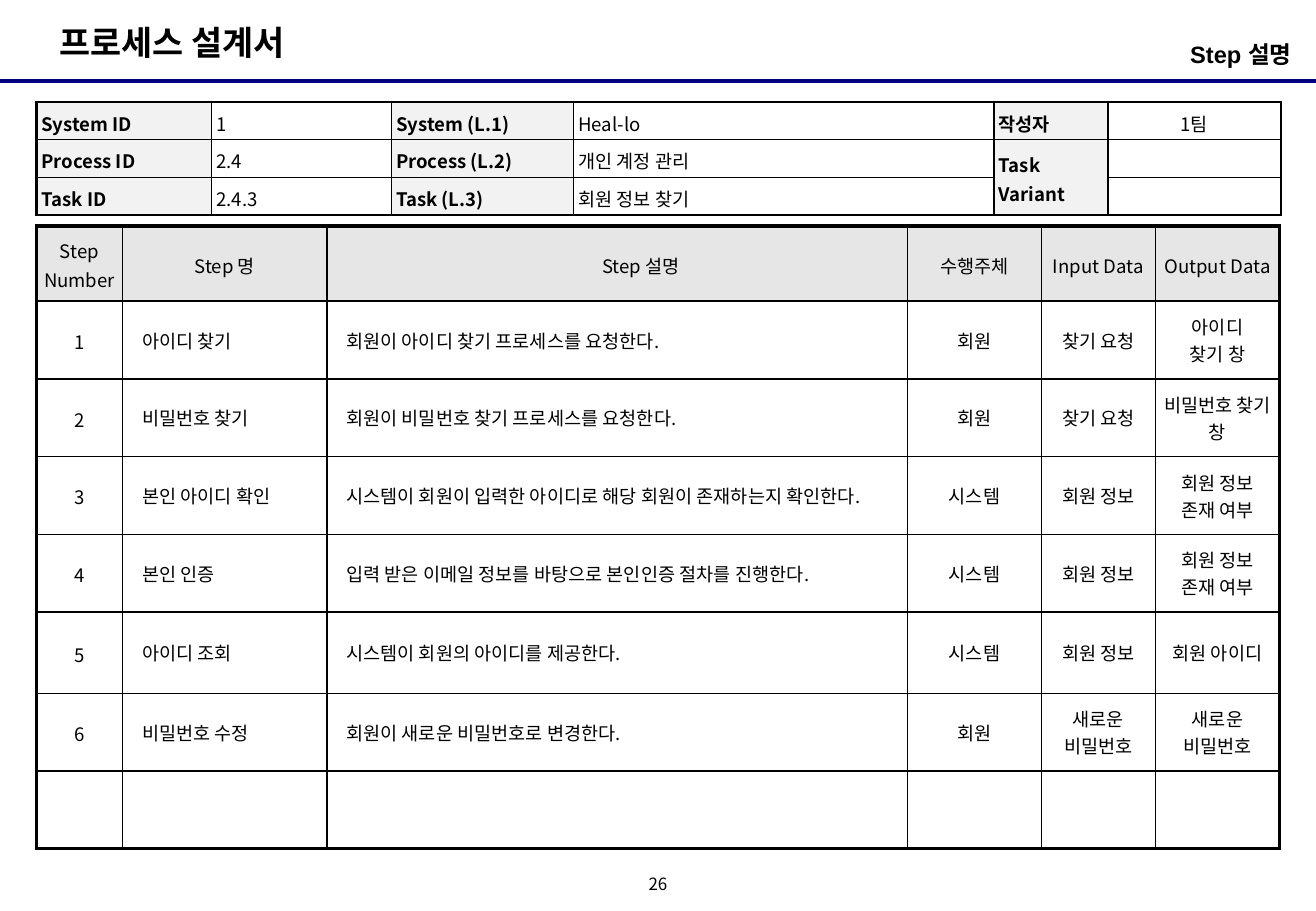
from lxml import etree
from pptx import Presentation
from pptx import util as u
from pptx.dml.color import RGBColor
from pptx.enum import shapes, text
from pptx.oxml.ns import qn

KOREAN = "Noto Sans CJK KR"
BLACK, WHITE, NAVY = "000000", "FFFFFF", "000080"
LABEL_FILL, HEAD_FILL = "F2F2F2", "E6E6E6"
CENTER, LEFT, RIGHT = text.PP_ALIGN.CENTER, text.PP_ALIGN.LEFT, text.PP_ALIGN.RIGHT
TOP, MIDDLE = text.MSO_ANCHOR.TOP, text.MSO_ANCHOR.MIDDLE

INFO_COLS = [1.44, 1.48, 1.5, 3.46, 0.94, 1.42]
INFO_ROWS = [0.31] * 3
INFO = [
    ["System ID", "1", "System (L.1)", "Heal-lo", "작성자", "1팀"],
    ["Process ID", "2.4", "Process (L.2)", "개인 계정 관리", "Task Variant", ""],
    ["Task ID", "2.4.3", "Task (L.3)", "회원 정보 찾기", "", ""],
]

STEP_COLS = [0.71, 1.68, 4.78, 1.1, 0.94, 1.02]
STEP_ROWS = [0.62, 0.64, 0.64, 0.64, 0.64, 0.67, 0.64, 0.64]
STEPS = [
    ["Step Number", "Step 명", "Step 설명", "수행주체", "Input Data", "Output Data"],
    ["1", "아이디 찾기", "회원이 아이디 찾기 프로세스를 요청한다.", "회원", "찾기 요청", "아이디\n찾기 창"],
    ["2", "비밀번호 찾기", "회원이 비밀번호 찾기 프로세스를 요청한다.", "회원", "찾기 요청", "비밀번호 찾기 창"],
    ["3", "본인 아이디 확인", "시스템이 회원이 입력한 아이디로 해당 회원이 존재하는지 확인한다.",
     "시스템", "회원 정보", "회원 정보 존재 여부"],
    ["4", "본인 인증", "입력 받은 이메일 정보를 바탕으로 본인인증 절차를 진행한다.",
     "시스템", "회원 정보", "회원 정보 존재 여부"],
    ["5", "아이디 조회", "시스템이 회원의 아이디를 제공한다.", "시스템", "회원 정보", "회원 아이디"],
    ["6", "비밀번호 수정", "회원이 새로운 비밀번호로 변경한다.", "회원",
     "새로운\n비밀번호", "새로운 비밀번호"],
    [""] * 6,
]


def color(value):
    return RGBColor.from_string(value)


def apply(obj, values):
    for name, value in values.items():
        setattr(obj, name, value)


def write(tf, content, size, bold=False, font=KOREAN, indent=0, **layout):
    tf.text = content
    for p in tf.paragraphs:
        if indent:
            p._p.get_or_add_pPr().set("marL", str(u.Inches(indent)))
        apply(p, layout)
        for r in p.runs:
            apply(r.font, {"name": font, "size": u.Pt(size), "bold": bold})
            r.font.color.rgb = color(BLACK)
            etree.SubElement(r.font._element, qn("a:ea"), typeface=KOREAN)
        if not p.runs:
            etree.SubElement(p._p, qn("a:endParaRPr"), sz=str(size * 100))


def add_text(s, box, content, size, margins, wrap, anchor=TOP, **style):
    tf = s.shapes.add_textbox(*map(u.Inches, box)).text_frame
    names = ("margin_left", "margin_top", "margin_right", "margin_bottom")
    apply(tf, dict(zip(names, map(u.Inches, margins))))
    apply(tf, {"word_wrap": wrap, "vertical_anchor": anchor})
    write(tf, content, size, **style)


def add_rule(s, y, width):
    line = s.shapes.add_connector(shapes.MSO_CONNECTOR.STRAIGHT, 0, u.Inches(y),
                                  u.Inches(width), u.Inches(y))
    line.line.color.rgb = color(NAVY)
    line.line.width = u.Pt(2.25)
    etree.SubElement(line._element.spPr, qn("a:effectLst"))


def set_borders(cell, widths):
    tc_pr = cell._tc.get_or_add_tcPr()
    for side, width in zip("LRTB", widths):
        ln = etree.SubElement(tc_pr, qn("a:ln" + side), w=str(u.Pt(width)))
        fill = etree.SubElement(ln, qn("a:solidFill"))
        etree.SubElement(fill, qn("a:srgbClr"), val=BLACK)


def add_grid(s, left, top, cols, rows, outer, margin_x, format_cell):
    frame = s.shapes.add_table(len(rows), len(cols), u.Inches(left), u.Inches(top),
                               u.Inches(sum(cols)), u.Inches(sum(rows)))
    table = frame.table
    apply(table, {"first_row": False, "horz_banding": False})
    for col, width in zip(table.columns, cols):
        col.width = u.Inches(width)
    for row, height in zip(table.rows, rows):
        row.height = u.Inches(height)
    for i in range(len(rows)):
        for j in range(len(cols)):
            cell = table.cell(i, j)
            edges = (j == 0, j == len(cols) - 1, i == 0, i == len(rows) - 1)
            set_borders(cell, [outer if edge else 1 for edge in edges])
            apply(cell, {"margin_left": u.Inches(margin_x), "margin_right": u.Inches(margin_x),
                         "margin_top": u.Inches(0.04), "margin_bottom": u.Inches(0.04)})
            format_cell(cell, i, j)
    return table


def fill_cell(cell, fill, anchor):
    cell.fill.solid()
    cell.fill.fore_color.rgb = color(fill)
    cell.vertical_anchor = anchor


def format_info(cell, i, j):
    label = j % 2 == 0
    fill_cell(cell, LABEL_FILL if label else WHITE, MIDDLE if j >= 4 else TOP)
    write(cell.text_frame, INFO[i][j], 11, bold=label, alignment=CENTER if j == 5 else LEFT,
          line_spacing=1.1, space_after=u.Pt(1.1))


def format_step(cell, i, j):
    head = i == 0
    fill_cell(cell, HEAD_FILL if head else WHITE, MIDDLE)
    described = j in (1, 2) and not head
    indent = 0.1 if described else 0.39 if head and j == 2 else 0
    layout = {"alignment": LEFT if described else CENTER}
    if head or j == 0:
        layout.update(line_spacing=1.1, space_after=u.Pt(1.1))
    write(cell.text_frame, STEPS[i][j], 11, indent=indent, **layout)


def main():
    prs = Presentation()
    prs.slide_width, prs.slide_height = u.Inches(10.83), u.Inches(7.5)
    s = prs.slides.add_slide(prs.slide_layouts[6])
    add_rule(s, 0.67, 10.83)
    add_text(s, (0.39, 0.13, 2.26, 0.44), "프로세스 설계서", 20, (0.1, 0.05, 0.1, 0.05),
             False, bold=True)
    add_text(s, (5.25, 7.17, 0.33, 0.25), "26", 10, (0, 0, 0, 0), False, MIDDLE,
             alignment=CENTER, line_spacing=0.8)
    info = add_grid(s, 0.3, 0.84, INFO_COLS, INFO_ROWS, 1.5, 0.04, format_info)
    info.cell(1, 4).merge(info.cell(2, 4))
    add_grid(s, 0.3, 1.86, STEP_COLS, STEP_ROWS, 2.25, 0.06, format_step)
    add_text(s, (7.39, 0.28, 3.24, 0.39), "Step 설명", 14, (0, 0.05, 0, 0.05), True,
             bold=True, font="Arial", alignment=RIGHT)
    prs.save("out.pptx")


if __name__ == "__main__":
    main()
